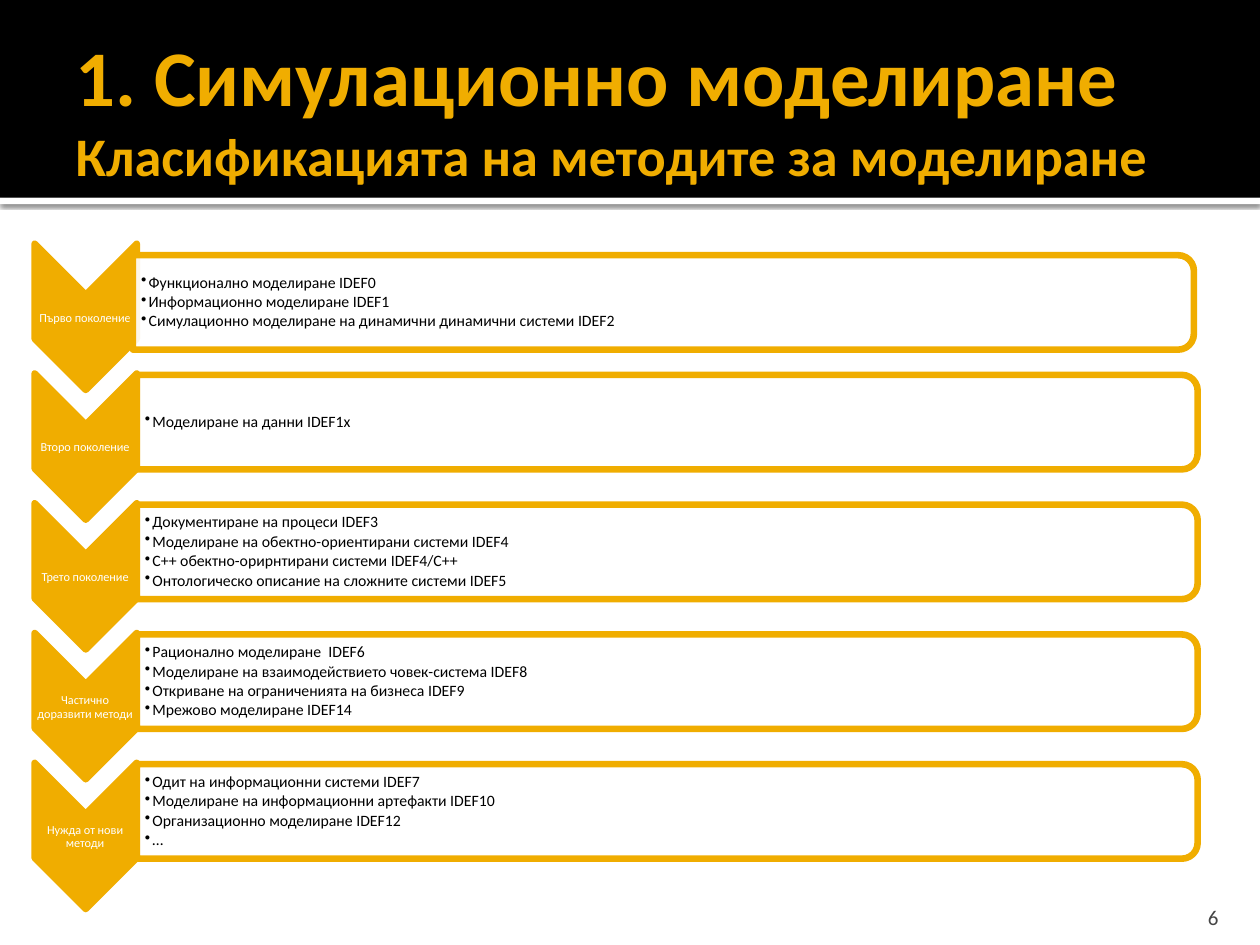
from lxml.etree import SubElement
from pptx import Presentation
from pptx.dml.color import RGBColor
from pptx.enum.shapes import MSO_SHAPE
from pptx.enum.text import MSO_ANCHOR, MSO_AUTO_SIZE, PP_ALIGN
from pptx.oxml.ns import qn
from pptx.util import Inches, Pt

GOLD = RGBColor(0xF0, 0xAD, 0x00)
WHITE = RGBColor(0xFF, 0xFF, 0xFF)
BLACK = RGBColor(0x00, 0x00, 0x00)
GREY = RGBColor(0x45, 0x45, 0x45)
FONT = "Calibri"

TOP = 2.11      # top of the first chevron before it is turned
STEP = 1.03     # distance from row to row
ROWS = [
    ("Първо поколение", [
        "Функционално моделиране IDEF0",
        "Информационно моделиране IDEF1",
        "Симулационно моделиране на динамични динамични системи IDEF2"]),
    ("Второ поколение", [
        "Моделиране на данни IDEF1x"]),
    ("Трето поколение", [
        "Документиране на процеси IDEF3",
        "Моделиране на обектно-ориентирани системи IDEF4",
        "C++ обектно-орирнтирани системи IDEF4/C++",
        "Онтологическо описание на сложните системи IDEF5"]),
    ("Частично доразвити методи", [
        "Рационално моделиране  IDEF6",
        "Моделиране на взаимодействието човек-система IDEF8",
        "Откриване на ограниченията на бизнеса IDEF9",
        "Мрежово моделиране IDEF14"]),
    ("Нужда от нови методи", [
        "Одит на информационни системи IDEF7",
        "Моделиране на информационни артефакти IDEF10",
        "Организационно моделиране IDEF12",
        "…"]),
]


def style(run, size, color, bold=False):
    font = run.font
    font.name, font.size, font.bold = FONT, Pt(size), bold
    font.color.rgb = color


def set_frame(frame, anchor, insets):
    frame.word_wrap = True
    frame.auto_size = MSO_AUTO_SIZE.NONE
    frame.vertical_anchor = anchor
    (frame.margin_left, frame.margin_top,
     frame.margin_right, frame.margin_bottom) = map(Inches, insets)


def add_shape(slide, kind, box, fill, line=None, turn=0):
    shape = slide.shapes.add_shape(kind, *map(Inches, box))
    shape.shadow.inherit = False
    shape.rotation = turn
    shape.fill.solid()
    shape.fill.fore_color.rgb = fill
    if line is None:
        shape.line.fill.background()
    else:
        shape.line.color.rgb = line
        shape.line.width = Pt(3.78)
    return shape


def add_text(slide, box, lines, size, color, anchor=MSO_ANCHOR.MIDDLE,
             insets=(0, 0, 0, 0), align=PP_ALIGN.LEFT, spacing=0.9):
    frame = slide.shapes.add_textbox(*map(Inches, box)).text_frame
    set_frame(frame, anchor, insets)
    frame.text = "\n".join(lines)
    for par in frame.paragraphs:
        par.alignment = align
        par.line_spacing = spacing
        style(par.runs[0], size, color)
    return frame


def add_bullet(par):
    par.space_after = Pt(1.35)
    props = par._p.get_or_add_pPr()
    props.set("marL", str(Inches(0.06)))
    props.set("indent", str(-Inches(0.06)))
    SubElement(props, qn("a:buChar"), char="•")


def add_glow(shape):
    """Give the shape a soft shadow straight below it."""
    effects = shape._element.spPr.find(qn("a:effectLst"))
    shadow = SubElement(effects, qn("a:outerShdw"), blurRad=str(Pt(2.5)),
                        dist=str(Pt(0.8)), dir="5400000", algn="t",
                        rotWithShape="0")
    color = SubElement(shadow, qn("a:srgbClr"), val=str(BLACK))
    SubElement(color, qn("a:alpha"), val="60000")


def add_header(slide):
    add_glow(add_shape(slide, MSO_SHAPE.RECTANGLE, (0, 1.57, 10, 0.05), WHITE))
    add_shape(slide, MSO_SHAPE.RECTANGLE, (0, 0, 10, 1.57), BLACK)

    title = slide.shapes.title
    title.left, title.top = Inches(0.5), Inches(0.17)
    title.width, title.height = Inches(9), Inches(1.37)
    frame = title.text_frame
    set_frame(frame, MSO_ANCHOR.MIDDLE, (0.1, 0.05, 0.05, 0.05))
    frame.text = "1. Симулационно моделиране\vКласификацията на методите за моделиране"
    par = frame.paragraphs[0]
    par.alignment = PP_ALIGN.LEFT
    for run, size in zip(par.runs, (45, 31)):
        style(run, size, GOLD, bold=True)
    slide.shapes._spTree.append(title._element)  # bring in front of the band


def add_row(slide, index, label, items):
    top = TOP + index * STEP
    # The first bar sits slightly lower and further left than the rest
    left, drop = (-0.03, 0.08) if index == 0 else (0, 0)
    add_shape(slide, MSO_SHAPE.CHEVRON, (0.1, top, 1.16, 0.81), GOLD, GOLD, 90)
    add_text(slide, (0.27, top + 0.24, 0.81, 0.35), [label], 7, WHITE,
             align=PP_ALIGN.CENTER)
    bar = add_shape(slide, MSO_SHAPE.ROUND_2_SAME_RECTANGLE,
                    (4.92 + left, top - 4 + drop, 0.75, 8.42), WHITE, GOLD, 90)
    color = bar._element.spPr.find(qn("a:solidFill"))[0]
    SubElement(color, qn("a:alpha"), val="90000")
    frame = add_text(slide, (1.08 + left, top - 0.13 + drop, 8.38, 0.68),
                     items, 9, BLACK, insets=(0.07, 0.01, 0.01, 0.01))
    for par in frame.paragraphs:
        add_bullet(par)


def main():
    deck = Presentation()
    deck.slide_width, deck.slide_height = Inches(10), Inches(7.5)
    slide = deck.slides.add_slide(deck.slide_layouts[5])
    add_header(slide)
    for index, (label, items) in enumerate(ROWS):
        add_row(slide, index, label, items)
    add_text(slide, (8.97, 7.08, 0.8, 0.3), ["6"], 12, GREY,
             MSO_ANCHOR.BOTTOM, (0.1, 0.05, 0.1, 0), PP_ALIGN.RIGHT, 1.0)
    deck.save("out.pptx")


if __name__ == "__main__":
    main()
